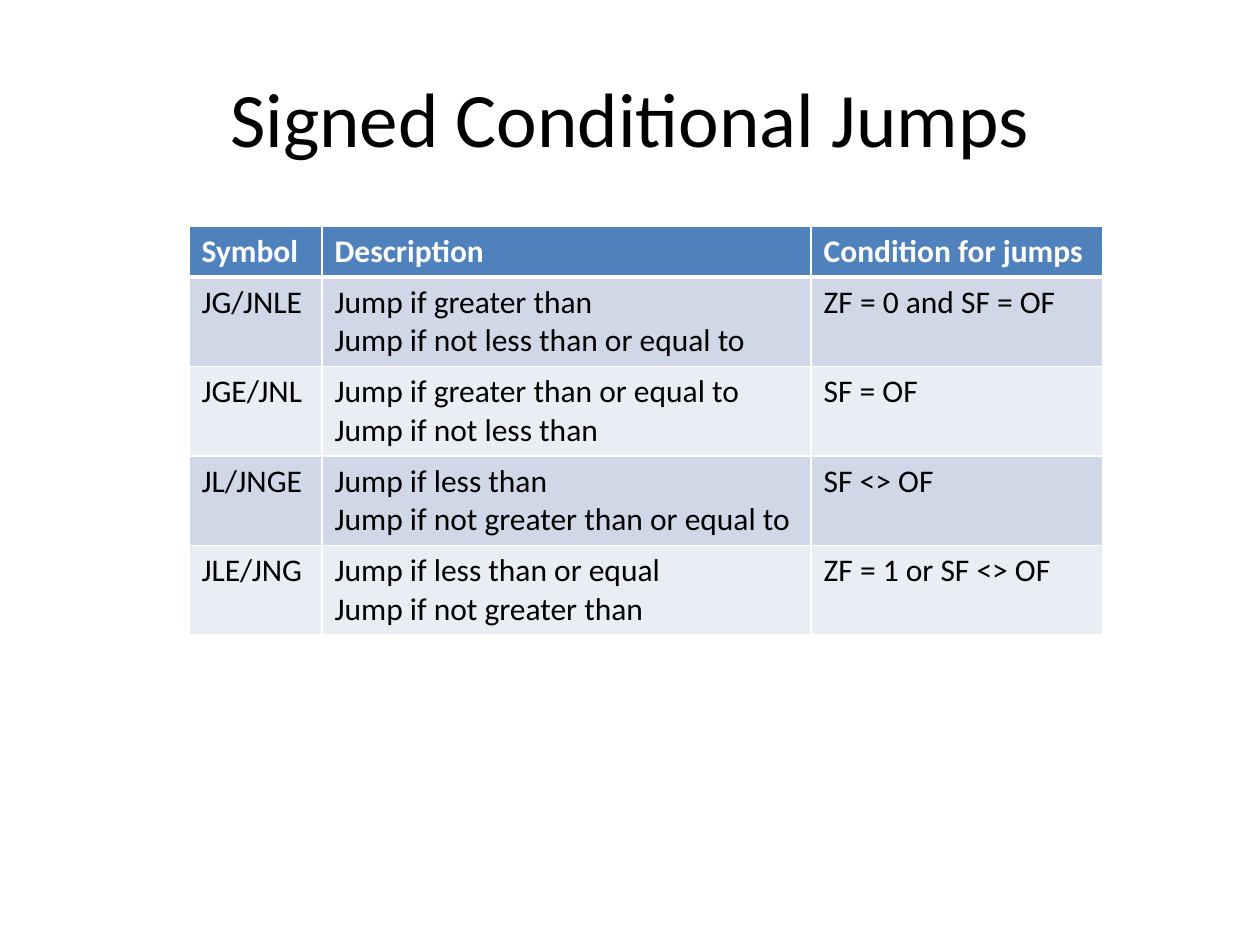
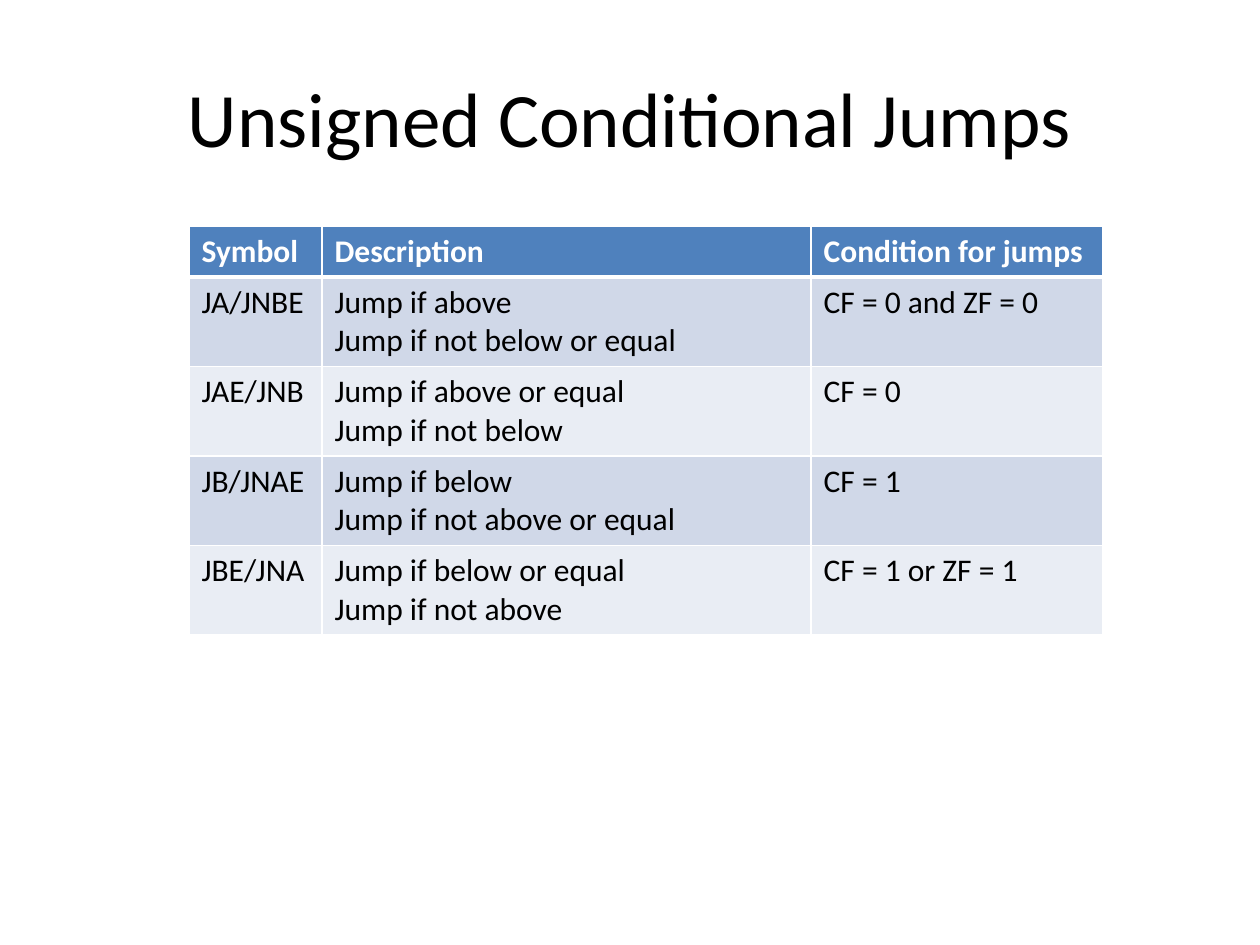
from lxml.etree import SubElement
from pptx import Presentation
from pptx.dml.color import RGBColor
from pptx.enum.text import MSO_ANCHOR, PP_ALIGN
from pptx.oxml.ns import qn
from pptx.util import Pt

COLORS = {"ink": "000000", "paper": "FFFFFF", "head": "4F81BD",
          "dark": "D0D8E8", "light": "E9EDF4"}
FONT = "Calibri"
HEADS = ("Symbol", "Description", "Condition for jumps")
WIDTHS = (76, 279.5, 166.5)
HEAD_H, ROW_H = 29.2, 51.1
THIN, THICK = 0.96, 3

SIGNED = [
    ("JG/JNLE", "Jump if greater than\nJump if not less than or equal to",
     "ZF = 0 and SF = OF"),
    ("JGE/JNL", "Jump if greater than or equal to\nJump if not less than",
     "SF = OF"),
    ("JL/JNGE", "Jump if less than\nJump if not greater than or equal to",
     "SF <> OF"),
    ("JLE/JNG", "Jump if less than or equal\nJump if not greater than",
     "ZF = 1 or SF <> OF"),
]
UNSIGNED = [
    ("JA/JNBE", "Jump if above\nJump if not below or equal",
     "CF = 0 and ZF = 0"),
    ("JAE/JNB", "Jump if above or equal\nJump if not below", "CF = 0"),
    ("JB/JNAE", "Jump if below\nJump if not above or equal", "CF = 1"),
    ("JBE/JNA", "Jump if below or equal\nJump if not above",
     "CF = 1 or ZF = 1"),
]


class Deck:
    def __init__(self):
        self.prs = Presentation()
        self.prs.slide_width, self.prs.slide_height = Pt(720), Pt(540)
        self.slide = None

    def color(self, name):
        return RGBColor.from_string(COLORS[name])

    def style(self, frame, size, ink, bold=False, align=PP_ALIGN.LEFT):
        for para in frame.paragraphs:
            para.alignment = align
            for run in para.runs:
                font = run.font
                font.name, font.size, font.bold = FONT, Pt(size), bold
                font.color.rgb = self.color(ink)

    # Slide with a centred title
    def page(self, text):
        self.slide = self.prs.slides.add_slide(self.prs.slide_layouts[5])
        fill = self.slide.background.fill
        fill.solid()
        fill.fore_color.rgb = self.color("paper")
        title = self.slide.shapes.title
        title.left, title.top = Pt(36), Pt(21.6)
        title.width, title.height = Pt(648), Pt(90)
        frame = title.text_frame
        frame.text = text
        frame.vertical_anchor = MSO_ANCHOR.MIDDLE
        self.style(frame, 44, "ink", align=PP_ALIGN.CENTER)

    # Borders go in before the fill, as the schema orders them
    def edge(self, cell, top, bottom):
        props = cell._tc.get_or_add_tcPr()
        sides = {"L": THIN, "R": THIN, "T": top, "B": bottom}
        for side, width in sides.items():
            line = SubElement(props, qn(f"a:ln{side}"), w=str(Pt(width)))
            fill = SubElement(line, qn("a:solidFill"))
            SubElement(fill, qn("a:srgbClr"), val=COLORS["paper"])

    # Header row, then banded rows
    def table(self, rows):
        height = HEAD_H + ROW_H * len(rows)
        grid = self.slide.shapes.add_table(
            len(rows) + 1, len(HEADS), Pt(108), Pt(129),
            Pt(sum(WIDTHS)), Pt(height)).table
        for col, width in zip(grid.columns, WIDTHS):
            col.width = Pt(width)
        for r, texts in enumerate([HEADS, *rows]):
            head = r == 0
            grid.rows[r].height = Pt(HEAD_H if head else ROW_H)
            band = "head" if head else "dark" if r % 2 else "light"
            for c, text in enumerate(texts):
                cell = grid.cell(r, c)
                cell.text_frame.text = text
                self.style(cell.text_frame, 18, "paper" if head else "ink", head)
                self.edge(cell, THICK if r == 1 else THIN,
                          THICK if head else THIN)
                cell.fill.solid()
                cell.fill.fore_color.rgb = self.color(band)


def main():
    deck = Deck()
    for kind, rows in (("Signed", SIGNED), ("Unsigned", UNSIGNED)):
        deck.page(f"{kind} Conditional Jumps")
        deck.table(rows)
    deck.prs.save("out.pptx")


if __name__ == "__main__":
    main()
